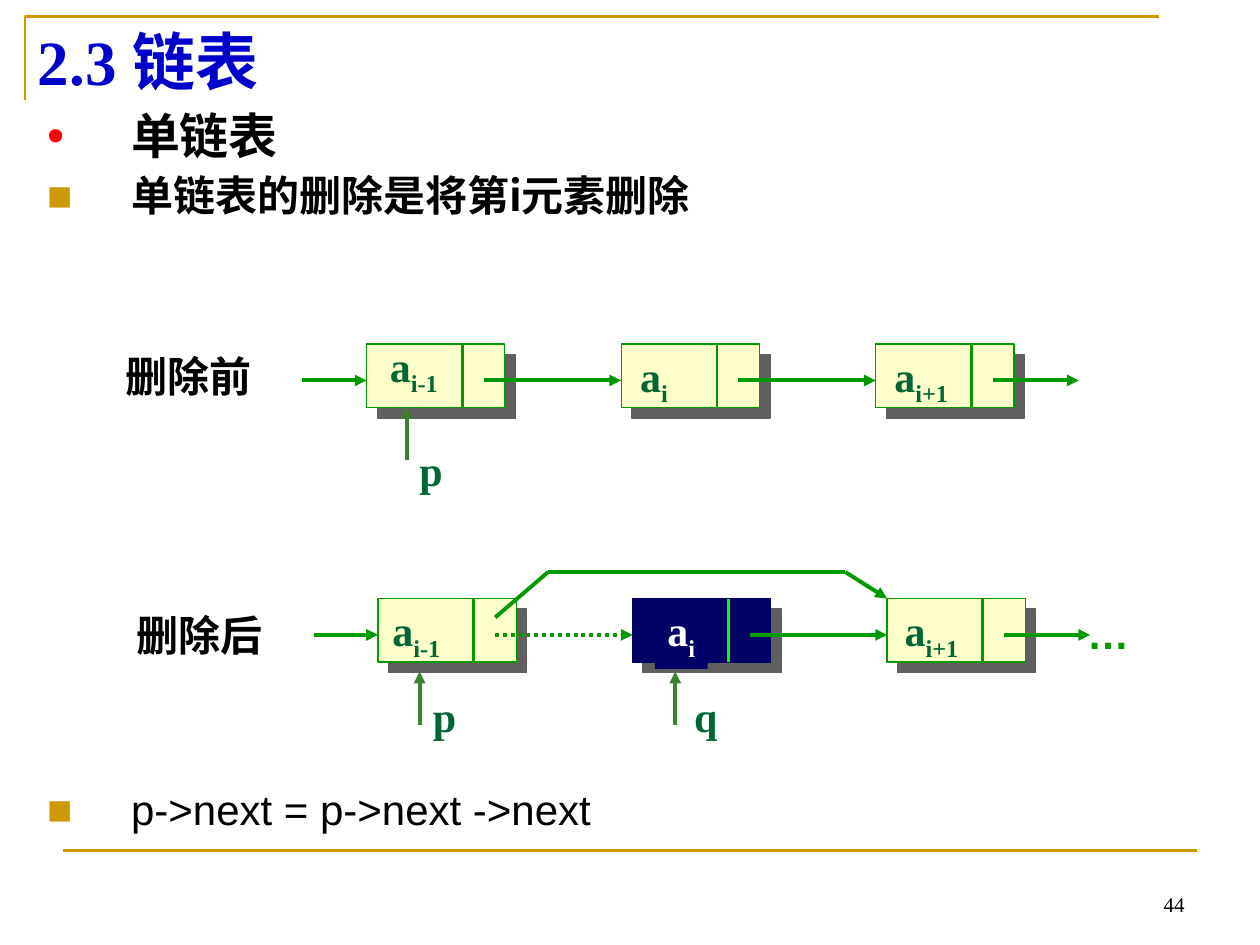
from dataclasses import dataclass

from lxml import etree
from pptx import Presentation
from pptx import util as u
from pptx.dml.color import RGBColor
from pptx.enum import dml, shapes, text
from pptx.oxml import ns

Pt = u.Pt
GOLD = RGBColor(0xCC, 0x99, 0x00)
BLUE = RGBColor(0x00, 0x00, 0xCC)
RED = RGBColor(0xFF, 0x00, 0x00)
BLACK = RGBColor(0x00, 0x00, 0x00)
WHITE = RGBColor(0xFF, 0xFF, 0xFF)
CREAM = RGBColor(0xFF, 0xFF, 0xCC)
NAVY = RGBColor(0x00, 0x00, 0x66)
GREEN = RGBColor(0x00, 0x99, 0x00)
LIME = RGBColor(0x00, 0xFF, 0x00)
PINE = RGBColor(0x00, 0x66, 0x33)
MOSS = RGBColor(0x3B, 0x81, 0x2F)
GREY = RGBColor(0x5F, 0x5F, 0x5F)

SERIF, SANS, HAN = "Times New Roman", "Arial", "Noto Sans CJK SC"
PITCH, WIDE, HIGH = 145.45, 79, 36.3  # node spacing and size
SPLIT, PORT, MID = 54.7, 67, 20.8  # divider, link start, link height


@dataclass
class Node:
    sub: str
    width: float  # of the label
    dx: float
    dy: float = 0
    dark: bool = False
    dotted: bool = False  # outgoing link


@dataclass
class Mark:
    name: str
    x: float
    label_x: float


@dataclass
class Chain:
    x: float  # left edge of the first node
    y: float
    title: str
    title_x: float
    title_y: float
    nodes: list[Node]
    marks: list[Mark]
    tip: float  # top of the pointer arrows
    mark_y: float


CHAINS = [
    Chain(209.5, 196.6, "删除前", 64.4, 196.6,
          [Node("i-1", 42, 6.2, -5.8), Node("i", 30.2, 3.8),
           Node("i+1", 46, 3.6)],
          [Mark("p", 232.4, 232.6)], 232.6, 250.6),
    Chain(216, 342, "删除后", 70.9, 344.9,
          [Node("i-1", 42, 1.2, dotted=True), Node("i", 30.2, 12.8, dark=True),
           Node("i+1", 46, 2.9)],
          [Mark("p", 239.8, 240.2), Mark("q", 385.9, 389.5)], 383.8, 391.3),
]


def add_xml(parent, tag: str, **attrs):
    return etree.SubElement(parent, ns.qn(tag), **attrs)


def add_run(para, words: str, size: float, font: str, color: RGBColor,
            bold: bool = True):
    run = para.add_run()
    run.text = words
    run.font.size, run.font.bold, run.font.name = Pt(size), bold, font
    run.font.color.rgb = color
    add_xml(run._r.get_or_add_rPr(), "a:ea", typeface=HAN)
    return run


def add_box(slide, x: float, y: float, w: float, h: float):
    box = slide.shapes.add_textbox(Pt(x), Pt(y), Pt(w), Pt(h))
    box.text_frame.word_wrap = False
    return box


def add_line(slide, x1: float, y1: float, x2: float, y2: float,
             color: RGBColor = GREEN, width: float = 2.25, arrow: bool = False,
             dotted: bool = False):
    line = slide.shapes.add_connector(
        shapes.MSO_CONNECTOR.STRAIGHT, Pt(x1), Pt(y1), Pt(x2), Pt(y2))
    line.line.color.rgb, line.line.width = color, Pt(width)
    if dotted:
        line.line.dash_style = dml.MSO_LINE.ROUND_DOT
    if arrow:
        add_xml(line.line._get_or_add_ln(), "a:tailEnd", type="triangle")
    add_xml(line._element.spPr, "a:effectLst")


def add_node(slide, node: Node, x: float, y: float):
    rect = slide.shapes.add_shape(
        shapes.MSO_SHAPE.RECTANGLE, Pt(x), Pt(y), Pt(WIDE), Pt(HIGH))
    rect.fill.solid()
    rect.fill.fore_color.rgb = NAVY if node.dark else CREAM
    rect.line.color.rgb = NAVY if node.dark else GREEN
    rect.line.width = Pt(0.75)
    rect.shadow.inherit = False
    cast = add_xml(rect._element.spPr.find(ns.qn("a:effectLst")), "a:outerShdw",
                   dist=str(Pt(8.5)), dir="2700000", algn="ctr", rotWithShape="0")
    add_xml(cast, "a:srgbClr", val=str(GREY))
    add_line(slide, x + SPLIT, y, x + SPLIT, y + HIGH,
             LIME if node.dark else GREEN, 1.5)


def add_label(slide, node: Node, x: float, y: float):
    box = add_box(slide, x + node.dx, y + node.dy, node.width, 40.3)
    if node.dark:
        box.fill.solid()
        box.fill.fore_color.rgb = NAVY
    color = WHITE if node.dark else PINE
    para = box.text_frame.paragraphs[0]
    add_run(para, "a", 24, SERIF, color)
    low = add_run(para, node.sub, 24, SERIF, color)
    low._r.get_or_add_rPr().set("baseline", "-25000")


def add_chain(slide, chain: Chain):
    spots = [(node, chain.x + i * PITCH) for i, node in enumerate(chain.nodes)]
    mid = chain.y + MID
    for node, x in spots:
        add_node(slide, node, x, chain.y)
    add_line(slide, chain.x - 36.7, mid, chain.x, mid, arrow=True)
    for node, x in spots:
        reach = 116 if node is chain.nodes[-1] else PITCH
        add_line(slide, x + PORT, mid, x + reach, mid,
                 arrow=True, dotted=node.dotted)
    for node, x in spots:
        add_label(slide, node, x, chain.y)
    for mark in chain.marks:
        add_line(slide, mark.x, chain.tip + 30.2, mark.x, chain.tip, MOSS, arrow=True)
        box = add_box(slide, mark.label_x, chain.mark_y, 27.4, 36)
        add_run(box.text_frame.paragraphs[0], mark.name, 24, SERIF, PINE)
    box = add_box(slide, chain.title_x, chain.title_y, 90, 36)
    box.text_frame.word_wrap = True
    add_run(box.text_frame.paragraphs[0], chain.title, 24, "Cabin", BLACK)


def add_item(para, words: str, size: float, font: str, bold: bool, mark: str,
             tint: RGBColor, before: float):
    """Fill one bulleted paragraph of the body."""
    props = para._p.get_or_add_pPr()
    props.set("marL", str(Pt(48)))
    props.set("indent", str(Pt(-48)))
    add_xml(add_xml(props, "a:buClr"), "a:srgbClr", val=str(tint))
    add_xml(props, "a:buFont", typeface=SANS)
    add_xml(props, "a:buChar", char=mark)
    para.line_spacing, para.space_before = 0.9, Pt(before)
    add_run(para, words, size, font, BLACK, bold)


def place(shape, x: float, y: float, w: float, h: float):
    shape.left, shape.top, shape.width, shape.height = Pt(x), Pt(y), Pt(w), Pt(h)
    shape.text_frame.auto_size = text.MSO_AUTO_SIZE.NONE
    return shape.text_frame


def add_frame(slide):
    pen = slide.shapes.build_freeform(Pt(14.4), Pt(57))
    pen.add_line_segments([(Pt(14.4), Pt(9.4)), (Pt(662.4), Pt(9.4))], close=False)
    edge = pen.convert_to_shape()
    edge.fill.background()
    edge.line.color.rgb, edge.line.width = GOLD, Pt(1.5)
    edge.shadow.inherit = False
    add_line(slide, 36, 486, 684, 486, GOLD, 1.5)


def main():
    deck = Presentation()
    deck.slide_width, deck.slide_height = Pt(720), Pt(540)
    slide = deck.slides.add_slide(deck.slide_layouts[1])
    add_frame(slide)

    head = place(slide.shapes.title, 14.4, 9, 648, 51)
    head.vertical_anchor = text.MSO_ANCHOR.MIDDLE
    head.paragraphs[0].alignment = text.PP_ALIGN.LEFT
    add_run(head.paragraphs[0], "2.3 链表", 36, SERIF, BLUE)

    body = place(slide.placeholders[1], 19.7, 60.5, 669, 425.5)
    add_item(body.paragraphs[0], "单链表", 28, HAN, True, "•", RED, 0)
    add_item(body.add_paragraph(), "单链表的删除是将第i元素删除", 24, HAN, True,
             "■", GOLD, 6)
    add_item(body.add_paragraph(), "p->next = p->next ->next", 24, SANS, False,
             "■", GOLD, 325)

    for chain in CHAINS:
        add_chain(slide, chain)
    bend = [(283, 352.8), (313.2, 326.9), (483.1, 326.9), (506.9, 342)]
    for start, end in zip(bend, bend[1:]):
        add_line(slide, *start, *end, arrow=end == bend[-1])
    dots = add_box(slide, 614.2, 343.4, 38.2, 36)
    add_run(dots.text_frame.paragraphs[0], "…", 24, SANS, GREEN)

    page = add_box(slide, 516.2, 491.5, 167.8, 36)
    page.text_frame.word_wrap = True
    page.text_frame.vertical_anchor = text.MSO_ANCHOR.BOTTOM
    page.text_frame.paragraphs[0].alignment = text.PP_ALIGN.RIGHT
    add_run(page.text_frame.paragraphs[0], "44", 12, SERIF, BLACK, False)
    deck.save("out.pptx")


if __name__ == "__main__":
    main()
